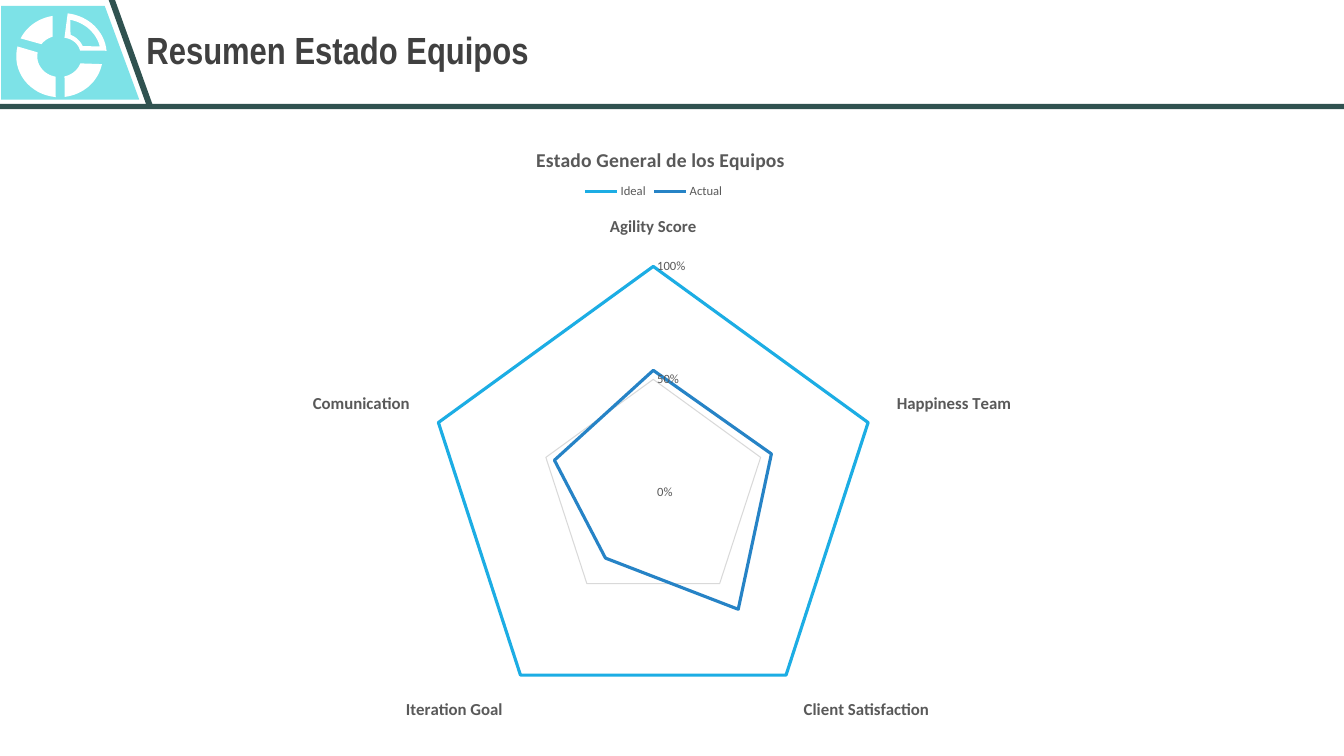
from math import cos, radians, sin

from lxml import etree
from pptx import Presentation
from pptx.chart.data import CategoryChartData
from pptx.dml.color import RGBColor
from pptx.enum.chart import XL_CHART_TYPE, XL_LEGEND_POSITION, XL_MARKER_STYLE, XL_TICK_MARK
from pptx.enum.shapes import MSO_SHAPE
from pptx.enum.text import MSO_ANCHOR, MSO_AUTO_SIZE, PP_ALIGN
from pptx.oxml.ns import qn
from pptx.util import Cm, Pt

RADAR = XL_CHART_TYPE.RADAR
TOP = XL_LEGEND_POSITION.TOP
NO_MARKER = XL_MARKER_STYLE.NONE
NO_TICK = XL_TICK_MARK.NONE
RECT = MSO_SHAPE.RECTANGLE
MIDDLE = MSO_ANCHOR.MIDDLE
NO_FIT = MSO_AUTO_SIZE.NONE
LEFT = PP_ALIGN.LEFT

AQUA, TEAL, WHITE, GREY, SILVER = "7DE2E7", "305250", "FFFFFF", "595959", "D9D9D9"

TITLE = "Resumen Estado Equipos"
CHART_TITLE = "Estado General de los Equipos"
CATEGORIES = ["Agility Score", "Happiness Team", "Client Satisfaction",
              "Iteration Goal", "Comunication"]
SERIES = [
    ("Ideal", [1, 1, 1, 1, 1], "1CADE4"),
    ("Actual", [0.54, 0.55, 0.64, 0.36, 0.46], "2683C6"),
]
LAYOUTS = [
    ("c:title", 1, {"x": 0.37, "y": 0.04}),
    ("c:legend", 1, {"x": 0.42, "y": 0.1}),
    ("c:plotArea", 0, {"x": 0.26, "y": 0.24, "w": 0.47, "h": 0.73}),
]

PANEL = [(0.03, 0.15), (2.64, 0.15), (3.51, 2.51), (0.03, 2.51)]
STRIPE = [(2.74, 0), (2.9, 0), (3.84, 2.62), (3.68, 2.62)]
RING_CENTRE, RING_OUTER, RING_INNER = (1.5, 1.42), (1.09, 1.03), (0.56, 0.52)
RING_ANGLES = [
    ((-64, -9), (-54, -18)),
    ((101, 173), (110, 167)),
    ((185, 284), (190, 281)),
]
SLICE_CENTRE = (1.57, 1.37)
SLICE_EDGE = ((1.12, 1.04), (0.46, 0.42), (7, 85), (7, 77))
SLICE_HOLE = ((0.97, 0.89), (0.56, 0.53), (12, 77), (22, 67))


def rgb(value):
    return RGBColor.from_string(value)


def set_font(font, size, color=GREY, bold=False, name="Calibri"):
    font.size, font.bold, font.name = Pt(size), bold, name
    font.color.rgb = rgb(color)


def write(tf, text, **fmt):
    p = tf.paragraphs[0]
    r = p.add_run()
    r.text = text
    set_font(r.font, **fmt)
    return p


def paint(sp, color):
    sp.shadow.inherit = False
    sp.fill.solid()
    sp.fill.fore_color.rgb = rgb(color)
    sp.line.fill.background()


def set_line(line, color, width):
    line.color.rgb = rgb(color)
    line.width = Pt(width)


def arc(centre, radii, start, end, steps=16):
    angles = [radians(start + (end - start) * i / steps) for i in range(steps + 1)]
    return [(centre[0] + radii[0] * sin(a), centre[1] - radii[1] * cos(a))
            for a in angles]


def sector(centre, outer, inner, outer_angles, inner_angles):
    return arc(centre, outer, *outer_angles) + arc(centre, inner, *inner_angles[::-1])


def add_outline(shapes, color, *contours):
    paths = [[(Cm(x), Cm(y)) for x, y in points] for points in contours]
    builder = shapes.build_freeform(*paths[0][0], scale=1.0)
    for i, points in enumerate(paths):
        if i:
            builder.move_to(*points[0])
        builder.add_line_segments(points[1:], close=True)
    paint(builder.convert_to_shape(), color)


def place(chart, tag, index, box):
    parent = chart.element.xpath("c:chart/" + tag)[0] if hasattr(chart, "element") \
        else chart._chartSpace.xpath("c:chart/" + tag)[0]
    for old in parent.findall(qn("c:layout")):
        parent.remove(old)
    layout = etree.Element(qn("c:layout"))
    manual = etree.SubElement(layout, qn("c:manualLayout"))
    if "w" in box:
        etree.SubElement(manual, qn("c:layoutTarget")).set("val", "inner")
    for mode in ("c:xMode", "c:yMode"):
        etree.SubElement(manual, qn(mode)).set("val", "edge")
    for key, value in box.items():
        etree.SubElement(manual, qn("c:" + key)).set("val", str(value))
    parent.insert(index, layout)


def add_header(slide, width):
    shapes = slide.shapes
    add_outline(shapes, AQUA, PANEL)
    paint(shapes.add_shape(RECT, 0, Cm(2.62), width, Cm(0.13)), TEAL)
    add_outline(shapes, TEAL, STRIPE)
    add_outline(shapes, WHITE, sector(SLICE_CENTRE, *SLICE_EDGE),
                sector(SLICE_CENTRE, *SLICE_HOLE))
    for angles in RING_ANGLES:
        add_outline(shapes, WHITE, sector(RING_CENTRE, RING_OUTER, RING_INNER, *angles))

    title = shapes.title
    title.left, title.top, title.width, title.height = Cm(3.23), 0, Cm(23.55), Cm(2.62)
    tf = title.text_frame
    tf.auto_size, tf.vertical_anchor = NO_FIT, MIDDLE
    tf.margin_left = Cm(0.46)
    p = write(tf, TITLE, size=27, color="404040", bold=True, name="Arial Narrow")
    p.alignment, p.line_spacing = LEFT, 0.9


def add_radar(slide):
    data = CategoryChartData(number_format="0%")
    data.categories = CATEGORIES
    for name, values, _ in SERIES:
        data.add_series(name, values)
    chart = slide.shapes.add_chart(
        RADAR, Cm(4.42), Cm(2.97), Cm(24.33), Cm(15.6), data).chart
    set_font(chart.font, 10, "000000")

    chart.has_title = True
    write(chart.chart_title.text_frame, CHART_TITLE, size=14, bold=True)
    chart.has_legend = True
    chart.legend.position = TOP
    chart.legend.include_in_layout = False
    set_font(chart.legend.font, 9)

    plot = chart.plots[0]
    plot.vary_by_categories = False
    for series, (_, _, color) in zip(plot.series, SERIES):
        set_line(series.format.line, color, 2.25)
        series.marker.style = NO_MARKER

    cat, val = chart.category_axis, chart.value_axis
    for axis, size, bold in ((cat, 12, True), (val, 9, False)):
        axis.major_tick_mark = axis.minor_tick_mark = NO_TICK
        set_font(axis.tick_labels.font, size, bold=bold)
    set_line(cat.format.line, SILVER, 0.75)
    val.minimum_scale, val.maximum_scale, val.major_unit = 0, 1, 0.5
    val.has_major_gridlines = True
    set_line(val.major_gridlines.format.line, SILVER, 0.75)
    val.format.line.fill.background()
    val.tick_labels.number_format = "0%"
    val.tick_labels.number_format_is_linked = False
    for tag, index, box in LAYOUTS:
        place(chart, tag, index, box)


def main():
    prs = Presentation()
    prs.slide_width, prs.slide_height = Cm(33.87), Cm(19.05)
    slide = prs.slides.add_slide(prs.slide_layouts[5])
    add_header(slide, prs.slide_width)
    add_radar(slide)
    prs.save("out.pptx")


if __name__ == "__main__":
    main()
